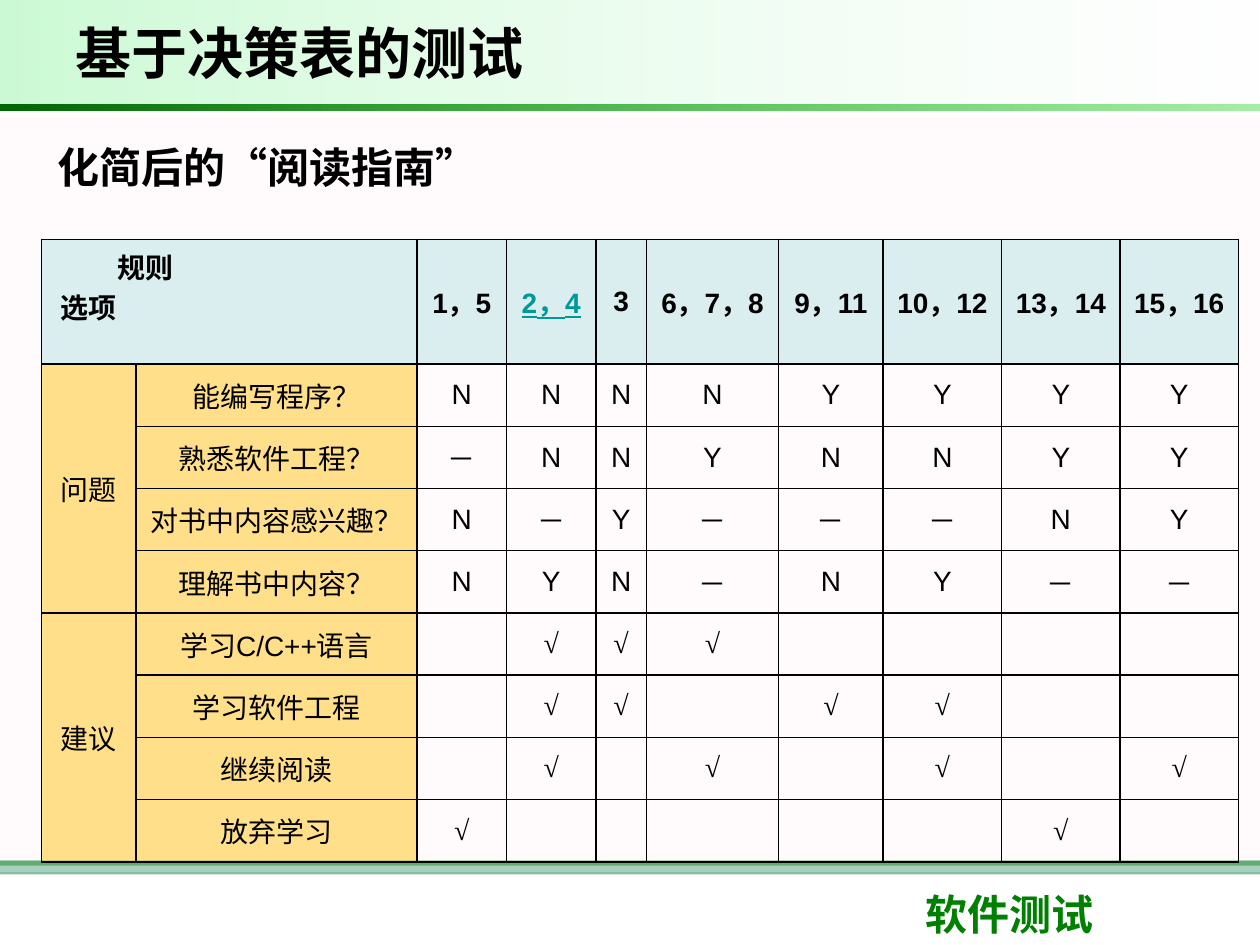
"""Build the simplified decision table slide."""
from dataclasses import dataclass

from lxml.etree import SubElement
from pptx import Presentation
from pptx.dml.color import RGBColor
from pptx.enum.lang import MSO_LANGUAGE_ID
from pptx.enum.shapes import MSO_SHAPE
from pptx.enum.text import MSO_ANCHOR, PP_ALIGN
from pptx.oxml import parse_xml
from pptx.oxml.ns import nsdecls, qn
from pptx.util import Inches, Pt


@dataclass
class Theme:
    black: str = "000000"
    green: str = "008000"
    sage: str = "339966"
    blush: str = "FFF0F5"
    white: str = "FFFFFF"
    mint: str = "09E733"
    leaf: str = "00CC00"
    forest: str = "006600"
    link: str = "009999"
    header: str = "DAEDEF"
    label: str = "FFC000"
    label_alpha: int = 45
    latin: str = "Arial"
    cjk: str = "Noto Sans CJK SC"
    tick: str = "Times New Roman"
    title: int = 32
    heading: int = 24
    cell: int = 16


theme = Theme()


def set_alpha(clr, alpha):
    SubElement(clr, qn("a:alpha"), val=str(alpha * 1000))


def add_run(p, text, size, color=theme.black, bold=False, font=theme.latin):
    r = p.add_run()
    r.text = text
    r.font.size, r.font.bold, r.font.name = Pt(size), bold, font
    r.font.language_id = MSO_LANGUAGE_ID.SIMPLIFIED_CHINESE
    r.font.color.rgb = RGBColor.from_string(color)
    SubElement(r.font._element, qn("a:ea"), typeface=theme.cjk)
    return r


prs = Presentation()
prs.slide_width, prs.slide_height = Inches(10), Inches(7.5)
s = prs.slides.add_slide(prs.slide_layouts[5])

bands = [
    (6.83, 10, 0.04, [(theme.green, 100)]),
    (6.83, 10, 0.11, [(theme.sage, 60)]),
    (0.92, 10, 6, [(theme.blush, 30)]),
    (0, 9.99, 0.83, [(theme.white, 10), (theme.mint, 21)]),
    (0.83, 10, 0.05, [(theme.leaf, 35), (theme.forest, 100)]),
]
for top, width, height, colors in bands:
    sp = s.shapes.add_shape(MSO_SHAPE.RECTANGLE, 0, Inches(top), Inches(width), Inches(height))
    sp.shadow.inherit = False
    sp.line.fill.background()
    if len(colors) == 1:
        sp.fill.solid()
        sp.fill.fore_color.rgb = RGBColor.from_string(colors[0][0])
    else:
        sp.rotation = 180
        sp.fill.gradient()
        sp.fill.gradient_angle = 0
        for stop, (value, alpha) in zip(sp.fill.gradient_stops, colors):
            stop.color.rgb = RGBColor.from_string(value)
    for clr, (value, alpha) in zip(sp.element.spPr.iter(qn("a:srgbClr")), colors):
        set_alpha(clr, alpha)

title = s.shapes.title
title.left, title.top, title.width, title.height = Inches(0.5), 0, Inches(9), Inches(0.83)
title.element.getparent().append(title.element)
title.text_frame.vertical_anchor = MSO_ANCHOR.MIDDLE
p = title.text_frame.paragraphs[0]
p.alignment = PP_ALIGN.LEFT
add_run(p, "基于决策表的测试", theme.title, bold=True)

headings = [
    (7.25, 7, 2.37, 0.5, "软件测试", theme.green, MSO_ANCHOR.TOP, True),
    (0.36, 1.07, 3.66, 0.51, "化简后的“阅读指南”", theme.black, MSO_ANCHOR.MIDDLE, False),
]
for left, top, width, height, text, color, anchor, wrap in headings:
    tf = s.shapes.add_textbox(Inches(left), Inches(top), Inches(width), Inches(height)).text_frame
    tf.word_wrap, tf.vertical_anchor = wrap, anchor
    add_run(tf.paragraphs[0], text, theme.heading, color, True)

rules = ["1，5", "2，4", "3", "6，7，8", "9，11", "10，12", "13，14", "15，16"]
options = [
    ("能编写程序？", "NNNNYYYY"),
    ("熟悉软件工程？", "－NNYNNYY"),
    ("对书中内容感兴趣？", "N－Y－－－NY"),
    ("理解书中内容？", "NYN－NY－－"),
    ("学习C/C++语言", " √√√    "),
    ("学习软件工程", " √√ √√  "),
    ("继续阅读", " √ √ √ √"),
    ("放弃学习", "√     √ "),
]
groups = {1: "问题", 5: "建议"}
rows = [["", "", *rules]]
for i, (option, marks) in enumerate(options, 1):
    rows.append([groups.get(i, ""), option, *marks])

header_height, body_height = Inches(0.99), Inches(3.95)
table = s.shapes.add_table(
    9, 10, Inches(0.33), Inches(1.9), Inches(9.5), header_height + body_height).table
for col, width in zip(table.columns, [0.75, 2.23, 0.71, 0.71, 0.4, 1.05, 0.83, 0.94, 0.94, 0.94]):
    col.width = Inches(width)
for i, row in enumerate(table.rows):
    row.height = body_height // len(options) if i else header_height

for i, values in enumerate(rows):
    for j, text in enumerate(values):
        cell = table.cell(i, j)
        cell.vertical_anchor = MSO_ANCHOR.MIDDLE
        tcPr = cell._tc.get_or_add_tcPr()
        for side in "LRTB":
            tcPr.append(parse_xml(
                f'<a:ln{side} {nsdecls("a")} w="12700"><a:solidFill>'
                f'<a:srgbClr val="{theme.black}"/></a:solidFill></a:ln{side}>'))
        if i and j > 1:
            cell.fill.background()
        else:
            cell.fill.solid()
            cell.fill.fore_color.rgb = RGBColor.from_string(theme.label if i else theme.header)
            if i:
                set_alpha(tcPr.find(qn("a:solidFill")).find(qn("a:srgbClr")), theme.label_alpha)
        if not text.strip():
            continue
        p = cell.text_frame.paragraphs[0]
        p.alignment = PP_ALIGN.CENTER
        pPr = p._p.get_or_add_pPr()
        pPr.set("marL", str(Inches(0.38)))
        pPr.set("indent", str(Inches(-0.38)))
        linked = text == "2，4"
        for part in text.replace("，", "|，|").replace("C/C++", "|C/C++|").split("|"):
            font = theme.tick if part == "√" else theme.latin if part.isascii() else theme.cjk
            r = add_run(p, part, theme.cell, theme.link if linked else theme.black, i == 0, font)
            r.font.underline = linked

corner = table.cell(0, 0)
corner.merge(table.cell(0, 1))
corner.vertical_anchor = MSO_ANCHOR.TOP
tf = corner.text_frame
for p, text, left in [(tf.paragraphs[0], "规则", 0.5), (tf.add_paragraph(), "选项", 0.05)]:
    p._p.get_or_add_pPr().set("marL", str(Inches(left)))
    add_run(p, text, theme.cell, bold=True, font=theme.cjk)
for top in groups:
    table.cell(top, 0).merge(table.cell(top + 3, 0))

prs.save("out.pptx")
